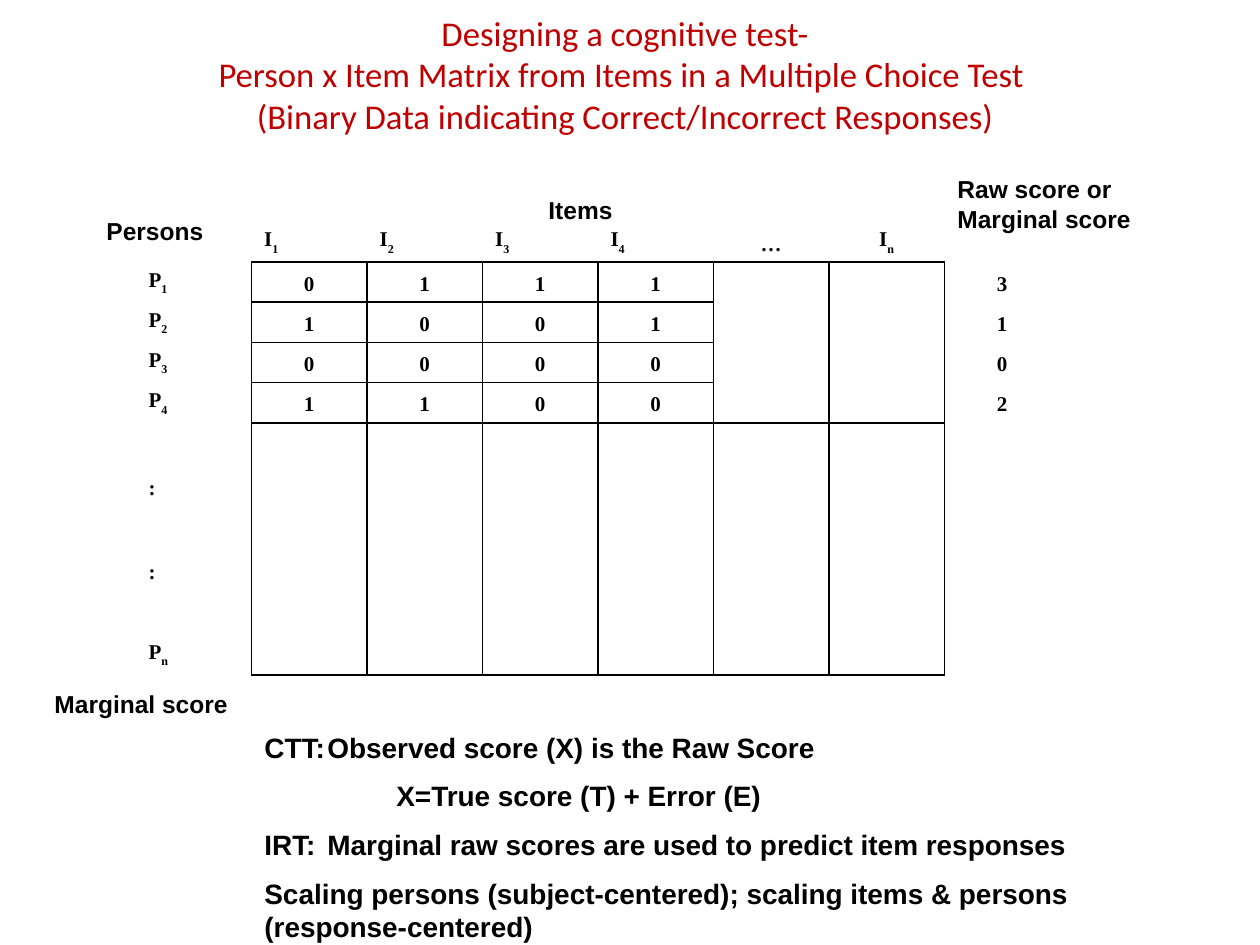
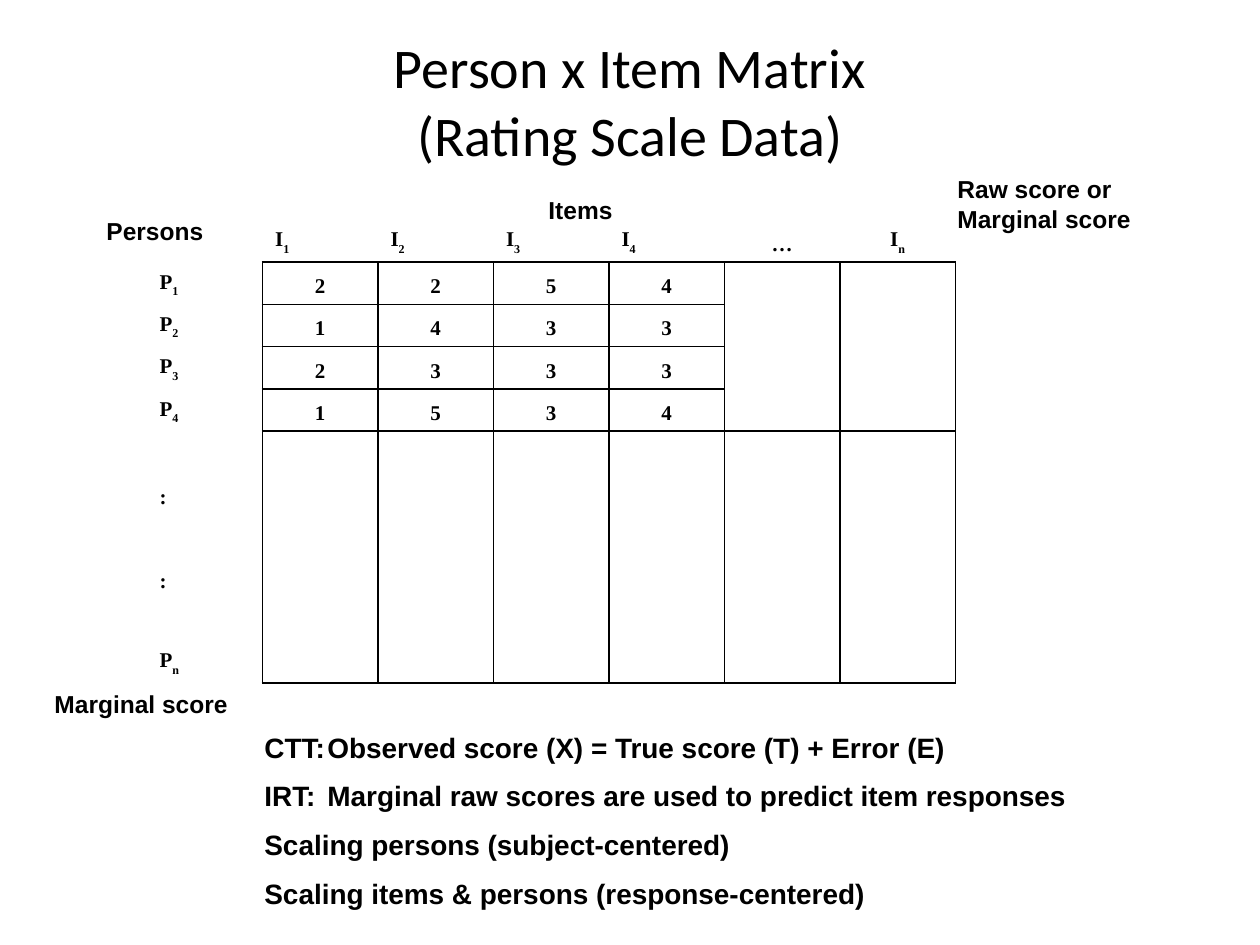
from dataclasses import dataclass
from lxml.etree import SubElement as Sub
from pptx import Presentation
from pptx.dml.color import RGBColor as Rgb
from pptx.enum.text import MSO_ANCHOR as Anchor, PP_ALIGN as Align
from pptx.oxml.ns import qn
from pptx.util import Emu, Pt


@dataclass(frozen=True)
class Theme:
    ink: str = "000000"
    red: str = "C00000"
    head: str = "Calibri"
    body: str = "Arial"
    cell: str = "Times New Roman"
    label: float = 14
    note: float = 16
    grid: float = 12
    rule: float = 1


T = Theme()
COLS, WIDE = 8, 924
ROWS = [83] + [40] * 4 + [84] * 3
ITEMS = ["", "I1", "I2", "I3", "I4", "…", "In", ""]
PEOPLE = ["", "P1", "P2", "P3", "P4", ":", ":", "Pn"]
LABELS = [
    ("Raw score or Marginal score", (945, 168, 220, 72)),
    ("Items", (536, 189, 220, 42)),
    ("Persons", (94, 210, 220, 42)),
    ("Marginal score", (42, 683, 220, 42)),
]
IRT = "IRT:\tMarginal raw scores are used to predict item responses"


def px(n):
    return Emu(round(n * 914400 / 126))


def put(obj, vals):
    for key, val in vals.items():
        setattr(obj, key, val)


def style(run, name, size, bold=True, color=T.ink):
    put(run.font, {"name": name, "size": Pt(size), "bold": bold})
    run.font.color.rgb = Rgb.from_string(color)


def indent(para, left, first=0):
    props = para._p.get_or_add_pPr()
    props.set("marL", str(px(left)))
    props.set("indent", str(px(first)))


# Text boxes
def frame(slide, box):
    text = slide.shapes.add_textbox(*map(px, box)).text_frame
    text.word_wrap = True
    return text


def title(slide, words, box, size, color, foot=6):
    text = frame(slide, box)
    put(text, {"vertical_anchor": Anchor.MIDDLE, "margin_bottom": px(foot)})
    para = text.paragraphs[0]
    put(para, {"text": words, "alignment": Align.CENTER})
    for run in para.runs:
        style(run, T.head, size, False, color)


def prose(slide, lines, box, size):
    text = frame(slide, box)
    for i, line in enumerate(lines):
        para = text.add_paragraph() if i else text.paragraphs[0]
        if i:
            para.space_before = Pt(size * 0.54)
        if line.startswith("X="):
            indent(para, 132)
        run = para.add_run()
        run.text = line
        style(run, T.body, size)


# Score matrix
def ruled(row, col, flat):
    """Tell whether the edge above (flat) or left of a cell is drawn."""
    if flat:
        return 1 <= col <= 6 and (row in (1, 5, 8) or 1 < row < 5 and col <= 4)
    return row >= 1 and 1 <= col <= 7


def border(cell, row, col):
    props = cell._tc.get_or_add_tcPr()
    sides = {"L": (row, col, False), "R": (row, col + 1, False),
             "T": (row, col, True), "B": (row + 1, col, True)}
    for side, edge in sides.items():
        line = Sub(props, qn("a:ln" + side), w=str(Pt(T.rule)))
        if ruled(*edge):
            fill = Sub(line, qn("a:solidFill"))
            Sub(fill, qn("a:srgbClr"), val=T.ink)
        else:
            Sub(line, qn("a:noFill"))


def write(cell, word, mid):
    cell.vertical_anchor = Anchor.BOTTOM
    para = cell.text_frame.paragraphs[0]
    para.alignment = Align.CENTER if mid else Align.LEFT
    indent(para, 64, -64)
    for i, char in enumerate(word):
        run = para.add_run()
        run.text = char
        style(run, T.cell, T.grid)
        if i:
            run._r.get_or_add_rPr().set("baseline", "-30000")
    if not word:
        Sub(para._p, qn("a:endParaRPr"), sz=str(round(T.grid * 100)))


def matrix(slide, left, scores):
    table = slide.shapes.add_table(
        len(ROWS), COLS, px(left), px(179), px(WIDE), px(sum(ROWS))).table
    put(table, {"first_row": False, "horz_banding": False})
    for col in table.columns:
        col.width = px(WIDE / COLS)
    for r, high in enumerate(ROWS):
        table.rows[r].height = px(high)
        for c in range(COLS):
            if r == 0:
                word = ITEMS[c]
            elif c == 0:
                word = PEOPLE[r]
            else:
                word = scores.get((r, c), "")
            cell = table.cell(r, c)
            border(cell, r, c)
            cell.fill.background()
            write(cell, word, c > 4 or r > 0 and c > 0)


def scored(rows, sums=""):
    marks = {(r, c): mark for r, row in enumerate(rows, 1)
             for c, mark in enumerate(row, 1)}
    return marks | {(r, 7): mark for r, mark in enumerate(sums, 1)}


def page(deck, left, scores, head, notes, high):
    slide = deck.slides.add_slide(deck.slide_layouts[6])
    matrix(slide, left, scores)
    title(slide, *head)
    for words, box in LABELS:
        prose(slide, [words], box, T.label)
    prose(slide, notes, (252, 724, 966, high), T.note)


def main():
    deck = Presentation()
    put(deck, {"slide_width": px(1260), "slide_height": px(945)})

    # Binary data
    page(deck, 136, scored(["0111", "1001", "0000", "1100"], "3102"),
         ("Designing a cognitive test-\n"
          "Person x Item Matrix from Items in a Multiple Choice Test \n"
          "(Binary Data indicating Correct/Incorrect Responses)",
          (63, 10, 1124, 136), 19.8, T.red, 14),
         ["CTT:\tObserved score (X) is the Raw Score",
          "X=True score (T) + Error (E)",
          IRT,
          "Scaling persons (subject-centered); scaling items & persons "
          "(response-centered)"], 232)

    # Rating scale data
    page(deck, 147, scored(["2254", "1433", "2333", "1534"]),
         ("Person x Item Matrix\n(Rating Scale Data)",
          (63, 21, 1134, 158), 32, T.ink),
         ["CTT:\tObserved score (X) = True score (T) + Error (E)",
          IRT,
          "Scaling persons (subject-centered)",
          "Scaling items & persons (response-centered)"], 198)

    deck.save("out.pptx")


main()
